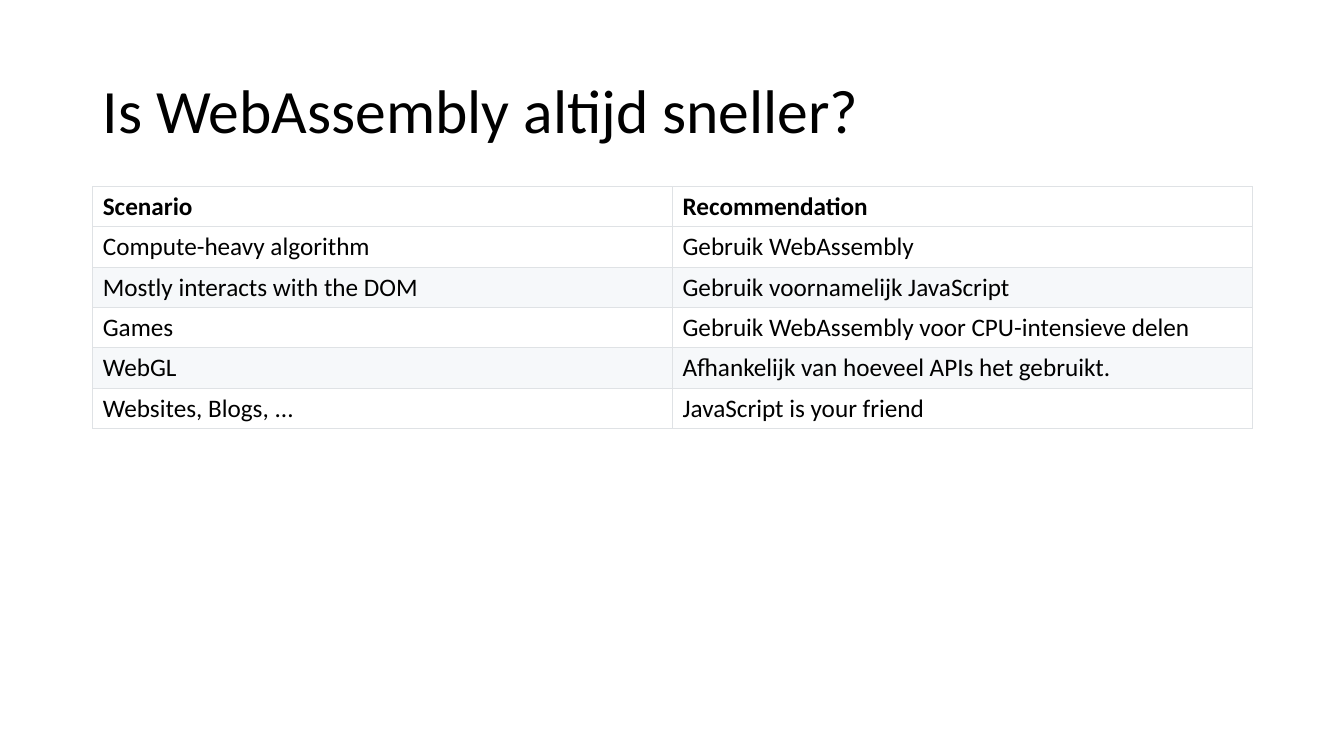
from lxml.etree import SubElement
from pptx import Presentation
from pptx.dml.color import RGBColor
from pptx.enum.text import MSO_ANCHOR
from pptx.oxml.ns import qn
from pptx.util import Inches, Pt

COLORS = {"text": "000000", "plain": "FFFFFF", "band": "F6F8FA", "border": "DFE2E5"}
FONT = "Calibri"
LEFT, WIDTH = Inches(0.92), Inches(11.5)
ROWS = [
    ("Scenario", "Recommendation"),
    ("Compute-heavy algorithm", "Gebruik WebAssembly"),
    ("Mostly interacts with the DOM", "Gebruik voornamelijk JavaScript"),
    ("Games", "Gebruik WebAssembly voor CPU-intensieve delen"),
    ("WebGL", "Afhankelijk van hoeveel APIs het gebruikt."),
    ("Websites, Blogs, ...", "JavaScript is your friend"),
]


def write(frame, text, size=18, bold=False, spacing=None):
    frame.word_wrap = True
    para = frame.paragraphs[0]
    para.line_spacing = spacing
    run = para.add_run()
    run.text = text
    font = run.font
    font.name, font.size, font.bold = FONT, Pt(size), bold
    font.color.rgb = RGBColor.from_string(COLORS["text"])


def add_title(slide, text):
    box = slide.shapes.add_textbox(LEFT, Inches(0.4), WIDTH, Inches(1.45))
    box.text_frame.vertical_anchor = MSO_ANCHOR.MIDDLE
    write(box.text_frame, text, size=44, spacing=0.9)


def add_border(cell):
    props = cell._tc.get_or_add_tcPr()
    for side in ("lnL", "lnR", "lnT", "lnB"):
        line = SubElement(props, qn(f"a:{side}"), w=str(Pt(0.75)))
        fill = SubElement(line, qn("a:solidFill"))
        SubElement(fill, qn("a:srgbClr"), val=COLORS["border"])


def add_grid(slide, rows):
    """Add a table with a bold header and every second body row shaded."""
    frame = slide.shapes.add_table(
        len(rows), len(rows[0]), LEFT, Inches(1.85), WIDTH, Inches(0.4) * len(rows)
    )
    table = frame.table
    table.horz_banding = False
    for r, row in enumerate(rows):
        shade = "band" if r and r % 2 == 0 else "plain"
        for c, text in enumerate(row):
            cell = table.cell(r, c)
            cell.vertical_anchor = MSO_ANCHOR.MIDDLE
            write(cell.text_frame, text, bold=r == 0)
            add_border(cell)
            cell.fill.solid()
            cell.fill.fore_color.rgb = RGBColor.from_string(COLORS[shade])


def main():
    deck = Presentation()
    deck.slide_width, deck.slide_height = Inches(13.33), Inches(7.5)
    slide = deck.slides.add_slide(deck.slide_layouts[6])
    add_title(slide, "Is WebAssembly altijd sneller?")
    add_grid(slide, ROWS)
    deck.save("out.pptx")


if __name__ == "__main__":
    main()
